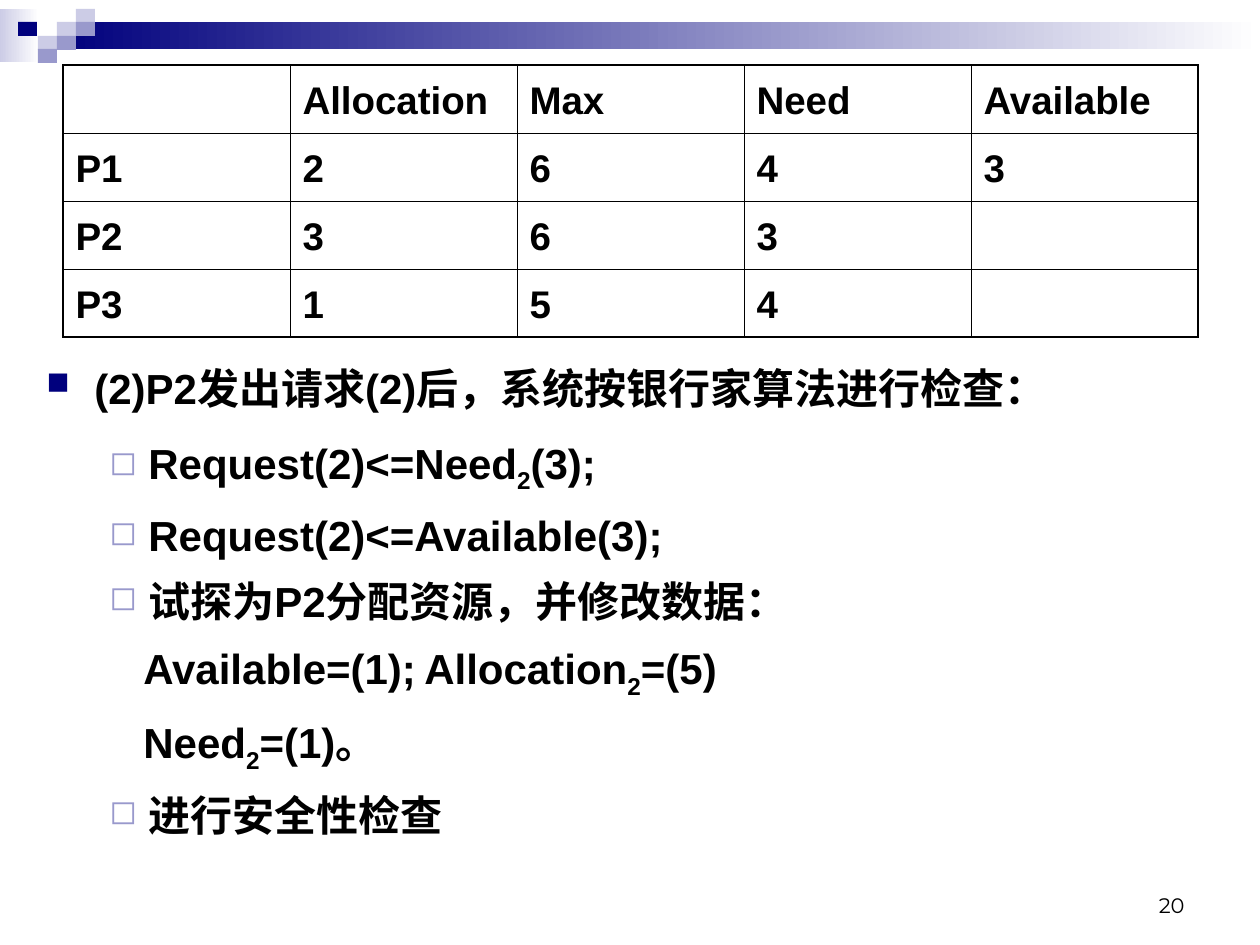
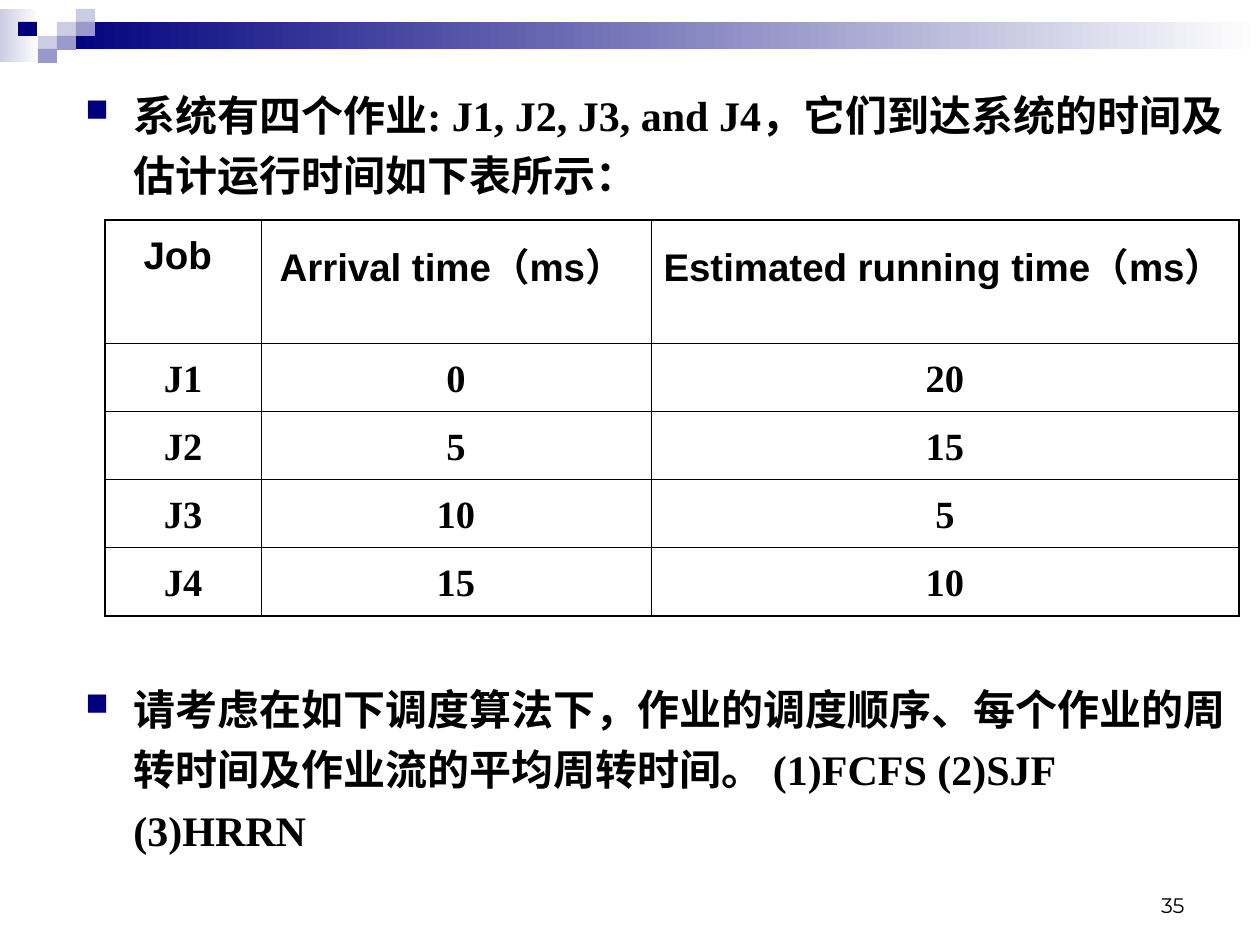
import pptx
import pptx.util
import pptx.dml.color
import pptx.enum.shapes
import pptx.enum.text
from lxml import etree
from pptx.oxml.ns import qn

PX = 914400 / 126
COLORS = {"navy": "00007D", "violet": "9999CC", "lilac": "CCCCE6",
          "white": "FFFFFF", "black": "000000"}
RGB = {name: pptx.dml.color.RGBColor.from_string(c) for name, c in COLORS.items()}
SANS, SERIF, NUMBER_FONT = "Arial", "Times New Roman", "Montserrat"
ALIGN = pptx.enum.text.PP_ALIGN
Pt = pptx.util.Pt

# Paragraph styles: left margin, first-line indent, bullet, its colour and size, tab, space before and after
STYLES = {
    "item": (48, -48, "■", "navy", 75, None, 4.5, 4.5),
    "sub": (102, -39, "◻", "violet", 80, None, 3, 0),
    "plain": (0, 97, None, None, None, 415, 3, 0),
}

# Header mosaic: left, top, width, height, colour, whether it fades to white
MOSAIC = [(0, 9, 39, 53, "lilac", True), (57, 22, 1203, 27, "navy", True)]
MOSAIC += [(x, y, 19, 14, color, False) for x, y, color in [
    (57, 22, "lilac"), (76, 9, "lilac"), (76, 22, "violet"), (38, 36, "lilac"),
    (18, 22, "navy"), (57, 36, "violet"), (38, 49, "violet")]]

SLIDES = [
    {"number": "20",
     "texts": [((34, 346, 1226, 504), SANS, [
         ("item", "(2)P2发出请求(2)后，系统按银行家算法进行检查："),
         ("sub", "Request(2)<=Need|2|(3);"),
         ("sub", "Request(2)<=Available(3);"),
         ("sub", "试探为P2分配资源，并修改数据："),
         ("plain", "Available=(1);\tAllocation|2|=(5)"),
         ("plain", "Need|2|=(1)。"),
         ("sub", "进行安全性检查")])],
     "table": {"at": (63, 65), "cols": [227] * 5, "rows": [68] * 4,
               "body_font": SANS, "centered": False,
               "cells": [["", "Allocation", "Max", "Need", "Available"],
                         ["P1", "2", "6", "4", "3"],
                         ["P2", "3", "6", "3", ""],
                         ["P3", "1", "5", "4", ""]]}},
    {"number": "35",
     "texts": [((73, 73, 1166, 140), SERIF, [
         ("item", "系统有四个作业: J1, J2, J3, and J4，它们到达系统的时间及估计运行时间如下表所示：")]),
               ((73, 667, 1166, 200), SERIF, [
         ("item", "请考虑在如下调度算法下，作业的调度顺序、每个作业的周转时间及作业流的平均周转时间。 (1)FCFS (2)SJF (3)HRRN")])],
     "table": {"at": (105, 220), "cols": [156, 390, 588], "rows": [123] + [68] * 4,
               "body_font": SERIF, "centered": True,
               "cells": [["Job ", "Arrival time（ms） ", "Estimated running time（ms）"],
                         ["J1", "0", "20"], ["J2", "5", "15"],
                         ["J3", "10", "5"], ["J4", "15", "10"]]}},
]


def emu(*lengths):
    return [round(n * PX) for n in lengths]


def set_font(p, name, size, bold=True):
    for r in p.runs:
        r.font.name = name
        r.font.size = Pt(size)
        r.font.bold = bold
        r.font.color.rgb = RGB["black"]


prs = pptx.Presentation()
prs.slide_width, prs.slide_height = emu(1260, 945)

for page in SLIDES:
    s = prs.slides.add_slide(prs.slide_layouts[6])

    # Header mosaic
    for x, y, w, h, color, fades in MOSAIC:
        sp = s.shapes.add_shape(pptx.enum.shapes.MSO_SHAPE.RECTANGLE, *emu(x, y, w, h))
        sp.shadow.inherit = False
        sp.line.fill.background()
        if fades:
            sp.fill.gradient()
            sp.fill.gradient_angle = 0
            for stop, name in zip(sp.fill.gradient_stops, (color, "white")):
                stop.color.rgb = RGB[name]
        else:
            sp.fill.solid()
            sp.fill.fore_color.rgb = RGB[color]

    # Page number
    tf = s.shapes.add_textbox(*emu(903, 861, 294, 63)).text_frame
    tf.word_wrap = True
    tf.vertical_anchor = pptx.enum.text.MSO_ANCHOR.BOTTOM
    tf.text = page["number"]
    tf.paragraphs[0].alignment = ALIGN.RIGHT
    set_font(tf.paragraphs[0], NUMBER_FONT, 12, bold=False)

    # Body text; parts between bars are subscripts
    for box, font, lines in page["texts"]:
        tf = s.shapes.add_textbox(*emu(*box)).text_frame
        tf.word_wrap = True
        for i, (style, text) in enumerate(lines):
            p = tf.add_paragraph() if i else tf.paragraphs[0]
            margin, indent, bullet, color, size, tab, before, after = STYLES[style]
            pPr = p._p.get_or_add_pPr()
            pPr.set("marL", str(emu(margin)[0]))
            pPr.set("indent", str(emu(indent)[0]))
            if bullet:
                clr = etree.SubElement(pPr, qn("a:buClr"))
                etree.SubElement(clr, qn("a:srgbClr"), val=COLORS[color])
                etree.SubElement(pPr, qn("a:buSzPct"), val=str(size * 1000))
                etree.SubElement(pPr, qn("a:buChar"), char=bullet)
            else:
                etree.SubElement(pPr, qn("a:buNone"))
            if tab:
                tabs = etree.SubElement(pPr, qn("a:tabLst"))
                etree.SubElement(tabs, qn("a:tab"), pos=str(emu(tab)[0]), algn="l")
            p.line_spacing = 1.2
            p.space_before = Pt(before if i else 0)
            p.space_after = Pt(after)
            for j, part in enumerate(text.split("|")):
                r = p.add_run()
                r.text = part
                if j % 2:
                    r._r.get_or_add_rPr().set("baseline", "-25000")
            set_font(p, font, 24)

    # Table: thin inner rules, thicker outer frame
    t = page["table"]
    cols, rows = t["cols"], t["rows"]
    table = s.shapes.add_table(len(rows), len(cols),
                               *emu(*t["at"], sum(cols), sum(rows))).table
    table.first_row = table.horz_banding = False
    for column, width in zip(table.columns, emu(*cols)):
        column.width = width
    for row, height in zip(table.rows, emu(*rows)):
        row.height = height
    for i, texts in enumerate(t["cells"]):
        for j, text in enumerate(texts):
            cell = table.cell(i, j)
            tcPr = cell._tc.get_or_add_tcPr()
            edges = {"lnL": j == 0, "lnR": j == len(cols) - 1,
                     "lnT": i == 0, "lnB": i == len(rows) - 1}
            for side, outer in edges.items():
                ln = etree.SubElement(tcPr, qn("a:" + side), w=str(Pt(1.08 if outer else 0.45)))
                fill = etree.SubElement(ln, qn("a:solidFill"))
                etree.SubElement(fill, qn("a:srgbClr"), val=COLORS["black"])
            cell.fill.background()
            if not text:
                continue
            cell.text_frame.text = text
            p = cell.text_frame.paragraphs[0]
            p.line_spacing = 1.2
            p.space_after = Pt(4.1)
            last_header = i == 0 and j == len(cols) - 1
            p.alignment = ALIGN.CENTER if t["centered"] and not last_header else ALIGN.LEFT
            set_font(p, t["body_font"] if i else SANS, 22)

prs.save("out.pptx")
